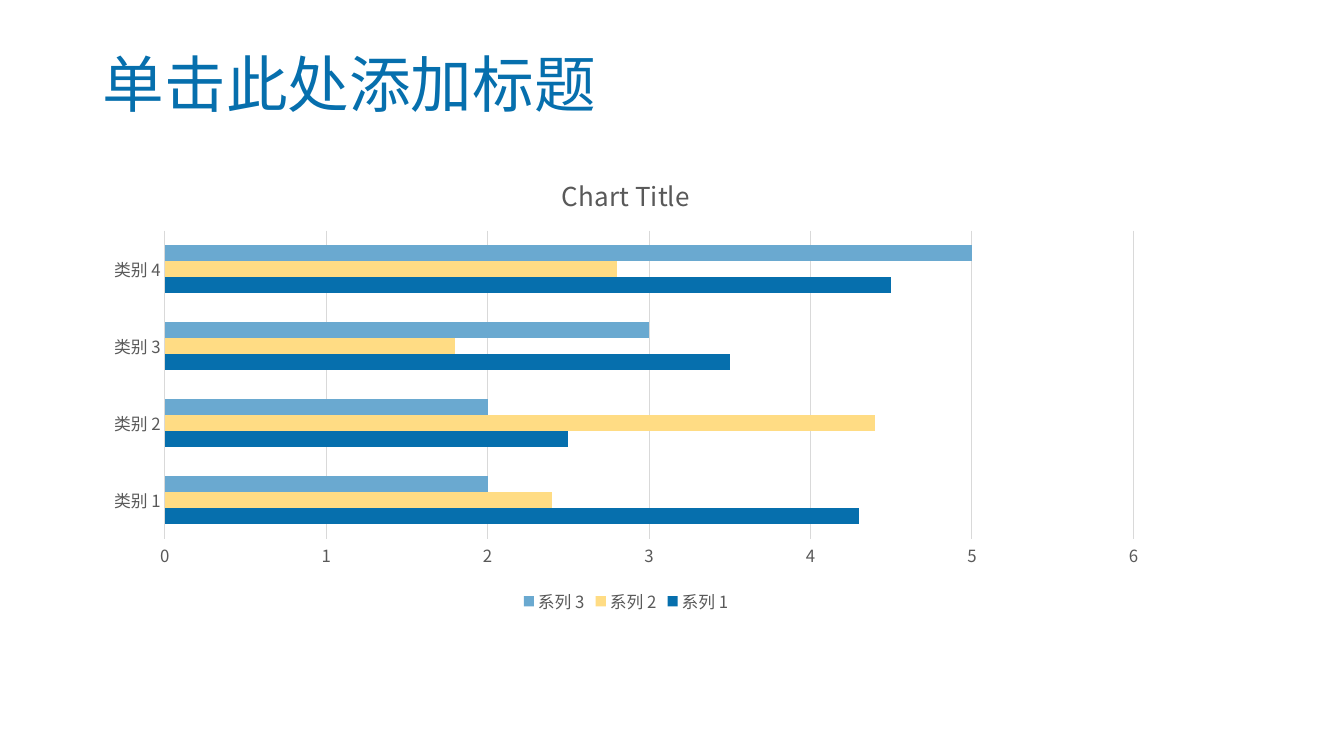
from lxml.etree import SubElement
from pptx import Presentation
from pptx.chart.data import CategoryChartData
from pptx.dml.color import RGBColor
from pptx.enum.chart import XL_CHART_TYPE, XL_LEGEND_POSITION, XL_TICK_MARK
from pptx.enum.text import MSO_ANCHOR, PP_ALIGN
from pptx.oxml.ns import qn
from pptx.util import Inches, Pt

FONT = "Noto Sans CJK SC"
BLUE = "066FAD"
GRAY = "595959"
RULE = "D9D9D9"
CATEGORIES = ["类别 1", "类别 2", "类别 3", "类别 4"]
SERIES = [
    ("系列 1", (4.3, 2.5, 3.5, 4.5), BLUE),
    ("系列 2", (2.4, 4.4, 1.8, 2.8), "FFDC84"),
    ("系列 3", (2, 2, 3, 5), "6AA9D0"),
]


def color(value):
    return RGBColor.from_string(value)


def style_font(font, size, value):
    font.name = FONT
    font.size = Pt(size)
    font.bold = False
    font.color.rgb = color(value)


def set_east_asian_font(element):
    for latin in list(element.iter(qn("a:latin"))):
        east_asian = SubElement(latin.getparent(), qn("a:ea"), typeface=FONT)
        latin.addnext(east_asian)


def style_rule(line):
    line.color.rgb = color(RULE)
    line.width = Pt(0.75)


def add_heading(slide, left, top, width, height):
    heading = slide.shapes.title
    heading.left, heading.top = Inches(left), Inches(top)
    heading.width, heading.height = Inches(width), Inches(height)
    frame = heading.text_frame
    frame.text = "单击此处添加标题"
    frame.word_wrap = True
    frame.vertical_anchor = MSO_ANCHOR.MIDDLE
    paragraph = frame.paragraphs[0]
    paragraph.alignment = PP_ALIGN.LEFT
    paragraph.line_spacing = 0.9
    style_font(paragraph.runs[0].font, 44, BLUE)
    set_east_asian_font(heading.element)


def add_bar_chart(slide, left, top, width, height):
    data = CategoryChartData()
    data.categories = CATEGORIES
    for name, values, _ in SERIES:
        data.add_series(name, values)
    chart = slide.shapes.add_chart(
        XL_CHART_TYPE.BAR_CLUSTERED,
        Inches(left), Inches(top), Inches(width), Inches(height), data,
    ).chart
    style_font(chart.font, 10, "000000")

    chart.has_title = True
    caption = chart.chart_title.text_frame
    caption.text = "Chart Title"
    style_font(caption.paragraphs[0].runs[0].font, 18.6, GRAY)
    chart.chart_title.include_in_layout = False

    chart.has_legend = True
    chart.legend.position = XL_LEGEND_POSITION.BOTTOM
    chart.legend.include_in_layout = False
    style_font(chart.legend.font, 12, GRAY)

    for axis in (chart.category_axis, chart.value_axis):
        axis.major_tick_mark = XL_TICK_MARK.NONE
        axis.minor_tick_mark = XL_TICK_MARK.NONE
        style_font(axis.tick_labels.font, 12, GRAY)
    style_rule(chart.category_axis.format.line)
    scale = chart.value_axis
    scale.minimum_scale, scale.maximum_scale, scale.major_unit = 0, 6, 1
    scale.format.line.fill.background()
    scale.has_major_gridlines = True
    style_rule(scale.major_gridlines.format.line)

    plot = chart.plots[0]
    plot.gap_width = 182
    plot.overlap = 0
    plot.vary_by_categories = False
    for series, (_, _, fill) in zip(plot.series, SERIES):
        series.format.fill.solid()
        series.format.fill.fore_color.rgb = color(fill)
    set_east_asian_font(chart.element)


def main():
    deck = Presentation()
    deck.slide_width, deck.slide_height = Inches(13.33), Inches(7.5)
    slide = deck.slides.add_slide(deck.slide_layouts.get_by_name("Title Only"))
    add_heading(slide, 0.92, 0.4, 11.5, 0.94)
    add_bar_chart(slide, 0.92, 1.52, 10.58, 4.61)
    deck.save("out.pptx")


if __name__ == "__main__":
    main()
